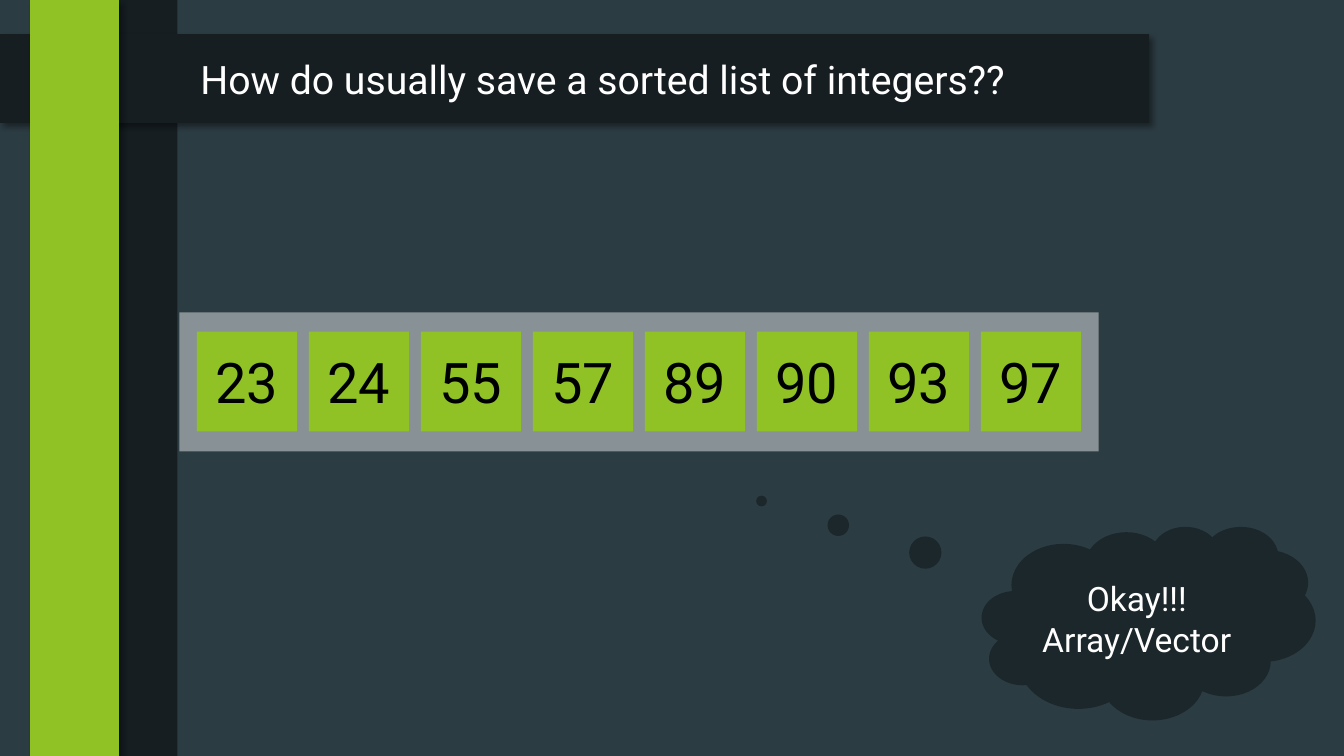
from dataclasses import dataclass
from typing import Optional

from lxml.etree import SubElement
from pptx import Presentation
from pptx.dml.color import RGBColor as Rgb
from pptx.enum.shapes import MSO_SHAPE as Shape
from pptx.enum.text import MSO_ANCHOR as Anchor, MSO_AUTO_SIZE as AutoSize, PP_ALIGN as Align
from pptx.oxml.ns import qn
from pptx.util import Inches, Pt

COLOURS = {
    "background": "2C3C43",
    "band": "161E22",
    "accent": "90C226",
    "white": "FFFFFF",
    "black": "000000",
}
FONT = "Roboto"
WIDTH, HEIGHT = Inches(13.333), Inches(7.5)


@dataclass
class Box:
    """Place and size as percentages of the slide's width and height."""
    left: float
    top: float
    width: float
    height: float

    def emu(self) -> tuple:
        return (int(WIDTH * self.left / 100), int(HEIGHT * self.top / 100),
                int(WIDTH * self.width / 100), int(HEIGHT * self.height / 100))


@dataclass
class Block:
    box: Box
    colour: str
    kind: Shape = Shape.RECTANGLE
    opacity: int = 100
    shadow: bool = False
    text: str = ""
    size: int = 0
    ink: str = "white"


def write(frame, text: str, size: int, ink: str, align: Optional[Align] = None) -> None:
    frame.text = text
    frame.word_wrap = True
    for paragraph in frame.paragraphs:
        paragraph.alignment = align
        for run in paragraph.runs:
            run.font.name = FONT
            run.font.size = Pt(size)
            run.font.color.rgb = Rgb.from_string(COLOURS[ink])


def add_alpha(colour_element, percent: int) -> None:
    SubElement(colour_element, qn("a:alpha")).set("val", str(percent * 1000))


def add_shadow(properties) -> None:
    effects = properties.find(qn("a:effectLst"))
    shadow = SubElement(effects, qn("a:outerShdw"), blurRad=str(Pt(4)), dist=str(Pt(3)),
                        dir=str(45 * 60000), algn="tl", rotWithShape="0")
    add_alpha(SubElement(shadow, qn("a:srgbClr"), val=COLOURS["black"]), 40)


def draw(slide, block: Block):
    shape = slide.shapes.add_shape(block.kind, *block.box.emu())
    shape.shadow.inherit = False
    shape.line.fill.background()
    shape.fill.solid()
    shape.fill.fore_color.rgb = Rgb.from_string(COLOURS[block.colour])
    properties = shape._element.spPr
    if block.opacity < 100:
        add_alpha(properties.find(qn("a:solidFill"))[0], block.opacity)
    if block.shadow:
        add_shadow(properties)
    if block.text:
        write(shape.text_frame, block.text, block.size, block.ink, Align.CENTER)
        shape.text_frame.vertical_anchor = Anchor.MIDDLE
    return shape


def main() -> None:
    deck = Presentation()
    deck.slide_width, deck.slide_height = WIDTH, HEIGHT
    slide = deck.slides.add_slide(deck.slide_layouts[6])
    slide.background.fill.solid()
    slide.background.fill.fore_color.rgb = Rgb.from_string(COLOURS["background"])

    # Sorted array: a pale tray with one cell per twelfth of the slide
    draw(slide, Block(Box(13.35, 41.33, 68.4, 18.4), "white", opacity=44))
    for index, number in enumerate((23, 24, 55, 57, 89, 90, 93, 97)):
        cell = Box(14.65 + index * 100 / 12, 43.87, 7.44, 13.2)
        draw(slide, Block(cell, "accent", text=str(number), size=40, ink="black"))

    # Side strip, title band and accent bar
    for block in (
        Block(Box(6.6, 0, 6.6, 100), "band"),
        Block(Box(0, 4.53, 85.5, 11.73), "band", shadow=True),
        Block(Box(2.25, 0, 6.6, 100), "accent", shadow=True),
    ):
        draw(slide, block)

    # Title
    title = slide.shapes.add_textbox(*Box(14.18, 6.67, 63.38, 7.6).emu()).text_frame
    write(title, "How do usually save a sorted list of integers??", 28, "white")
    title.auto_size = AutoSize.SHAPE_TO_FIT_TEXT

    # Answer in a thought cloud that trails back to the array
    answer = draw(slide, Block(Box(73.05, 69.6, 24.83, 25.6), "black", Shape.CLOUD_CALLOUT,
                               opacity=35, text="Okay!!!\nArray/Vector", size=24))
    answer.adjustments[0] = -1.16
    answer.adjustments[1] = -0.63

    deck.save("out.pptx")


if __name__ == "__main__":
    main()
